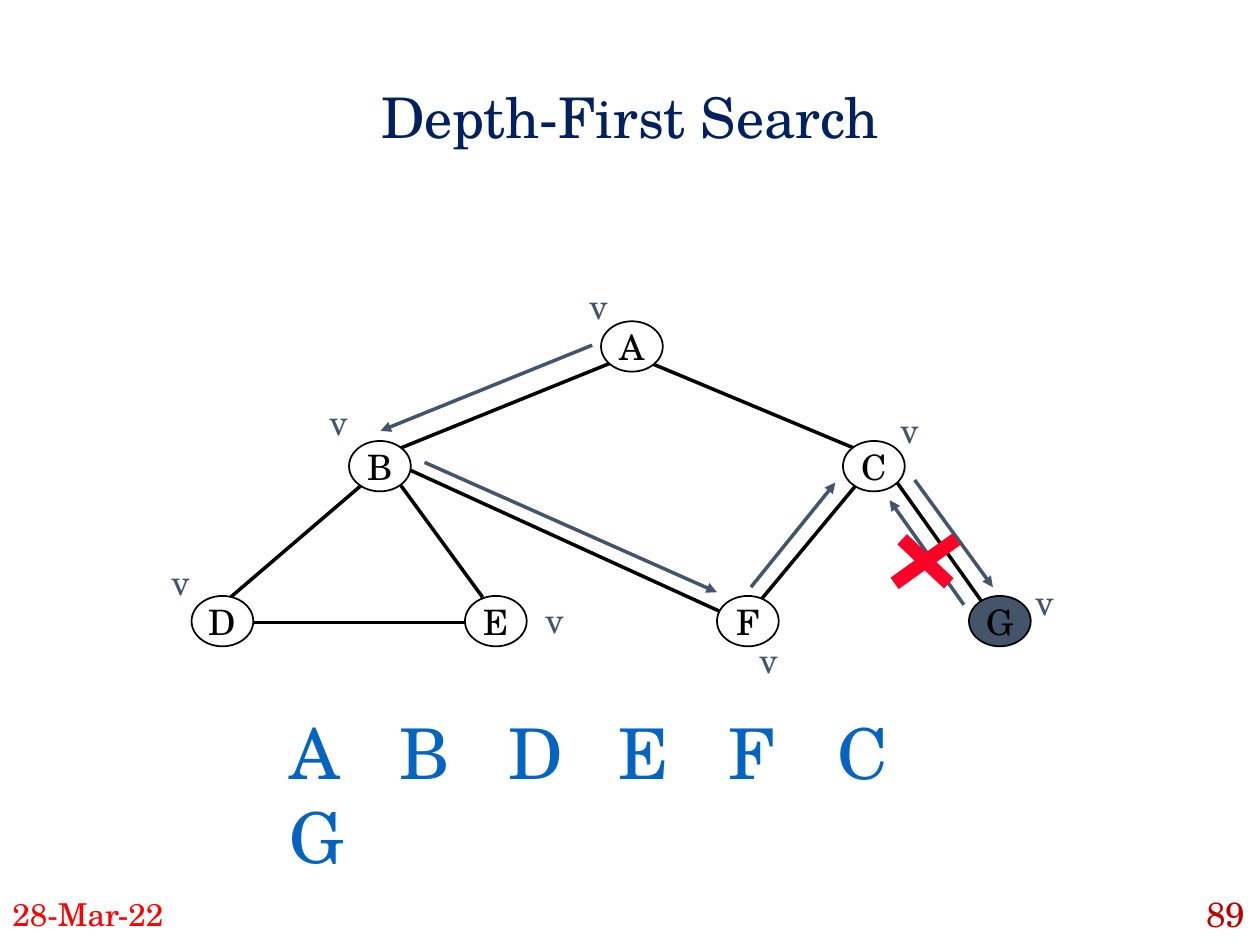
import lxml.etree
import pptx
import pptx.dml.color
import pptx.enum.shapes
import pptx.enum.text
import pptx.oxml.ns
import pptx.util

Inches = pptx.util.Inches
Pt = pptx.util.Pt
qn = pptx.oxml.ns.qn
ALIGN = pptx.enum.text.PP_ALIGN
ANCHOR = pptx.enum.text.MSO_ANCHOR

FONT = "TeX Gyre Schola"
BLACK, WHITE, SLATE, RED = "000000", "FFFFFF", "44546A", "FC0128"
NODE_W, NODE_H = 0.49, 0.4

NODES = {
    "A": (4.77, 2.55), "B": (2.77, 3.5), "C": (6.69, 3.5), "D": (1.52, 4.73),
    "E": (3.69, 4.73), "F": (5.69, 4.73), "G": (7.69, 4.73),
}
EDGES = [
    (3.23, 3.72, 5.73, 4.86), (1.98, 4.94, 3.78, 4.94),
    (2.87, 3.85, 1.83, 4.74), (6.82, 3.82, 6.04, 4.76),
    (7.12, 3.83, 7.81, 4.8), (3.15, 3.81, 3.83, 4.74),
    (4.85, 2.88, 3.17, 3.56), (5.16, 2.88, 6.81, 3.57),
]
STEPS = [
    (4.7, 2.74, 3.02, 3.42), (3.37, 3.67, 5.69, 4.7),
    (5.96, 4.66, 6.63, 3.83), (7.26, 3.81, 7.88, 4.66),
    (7.65, 4.8, 7.06, 3.97),
]
VISITED_MARKS = [
    (4.58, 2.21), (2.52, 3.13), (1.26, 4.4), (4.23, 4.7),
    (5.93, 5.02), (7.05, 3.19), (8.12, 4.56),
]
CROSS = [(7.16, 4.28, 7.53, 4.63), (7.59, 4.28, 7.1, 4.63)]


def rgb(color):
    return pptx.dml.color.RGBColor.from_string(color)


def style_text(p, size, color, align=ALIGN.LEFT):
    p.alignment = align
    p.font.size = Pt(size)
    p.font.color.rgb = rgb(color)
    p.font.name = FONT


def add_text(shapes, box, text, size, color, align=ALIGN.LEFT,
             anchor=ANCHOR.TOP, wrap=True):
    tf = shapes.add_textbox(*map(Inches, box)).text_frame
    tf.word_wrap = wrap
    tf.vertical_anchor = anchor
    p = tf.paragraphs[0]
    p.text = text
    style_text(p, size, color, align)
    return p


def add_line(shapes, ends, color, width, arrow=False):
    sp = shapes.add_connector(pptx.enum.shapes.MSO_CONNECTOR.STRAIGHT, *map(Inches, ends))
    sp.line.color.rgb = rgb(color)
    sp.line.width = Pt(width)
    if arrow:
        lxml.etree.SubElement(sp.line._get_or_add_ln(), qn("a:tailEnd"), type="triangle")
    lxml.etree.SubElement(sp._element.spPr, qn("a:effectLst"))


def add_node(shapes, name, left, top, fill):
    sp = shapes.add_shape(pptx.enum.shapes.MSO_SHAPE.OVAL,
                          *map(Inches, (left, top, NODE_W, NODE_H)))
    sp.shadow.inherit = False
    sp.fill.solid()
    sp.fill.fore_color.rgb = rgb(fill)
    sp.line.color.rgb = rgb(BLACK)
    sp.line.width = Pt(1)
    tf = sp.text_frame
    tf.word_wrap = False
    tf.margin_left = tf.margin_right = tf.margin_top = tf.margin_bottom = 0
    tf.vertical_anchor = ANCHOR.MIDDLE
    p = tf.paragraphs[0]
    p.text = name
    style_text(p, 20, BLACK, ALIGN.CENTER)


def add_visit_order(shapes):
    p = add_text(shapes, (2.2, 5.58, 5.66, 1.43), "A\tB\tD\tE\tF\tC\vG", 40, "0563C1")
    pPr = p._p.get_or_add_pPr()
    tabs = lxml.etree.Element(qn("a:tabLst"))
    for i in range(1, 6):
        lxml.etree.SubElement(tabs, qn("a:tab"), pos=str(Inches(0.87 * i)), algn="l")
    defaults = pPr.find(qn("a:defRPr"))
    defaults.addprevious(tabs)
    effects = lxml.etree.Element(qn("a:effectLst"))
    shadow = lxml.etree.SubElement(effects, qn("a:outerShdw"),
                                   dist=str(Pt(2)), dir="2700000")
    lxml.etree.SubElement(shadow, qn("a:srgbClr"), val=BLACK)
    defaults.find(qn("a:solidFill")).addnext(effects)


def main():
    prs = pptx.Presentation()
    prs.slide_width, prs.slide_height = Inches(10), Inches(7.5)
    s = prs.slides.add_slide(prs.slide_layouts[6])
    shapes = s.shapes

    for edge in EDGES:
        add_line(shapes, edge, BLACK, 2)
    add_text(shapes, (0.5, 0.3, 9, 1.25), "Depth-First Search", 32, "002060",
             ALIGN.CENTER, ANCHOR.MIDDLE)
    for name, (left, top) in NODES.items():
        add_node(shapes, name, left, top, SLATE if name == "G" else WHITE)
    for step in STEPS:
        add_line(shapes, step, SLATE, 2, arrow=True)
    for left, top in VISITED_MARKS:
        add_text(shapes, (left, top, 0.35, 0.43), "v", 20, SLATE, wrap=False)
    add_visit_order(shapes)

    cross = shapes.add_group_shape()
    for stroke in CROSS:
        add_line(cross.shapes, stroke, RED, 8)

    add_text(shapes, (0, 7.05, 2.33, 0.4), "28-Mar-22", 18, "FF0000",
             anchor=ANCHOR.MIDDLE)
    add_text(shapes, (7.65, 7.05, 2.33, 0.4), "89", 20, "C00000",
             ALIGN.RIGHT, ANCHOR.MIDDLE)
    prs.save("out.pptx")


if __name__ == "__main__":
    main()
